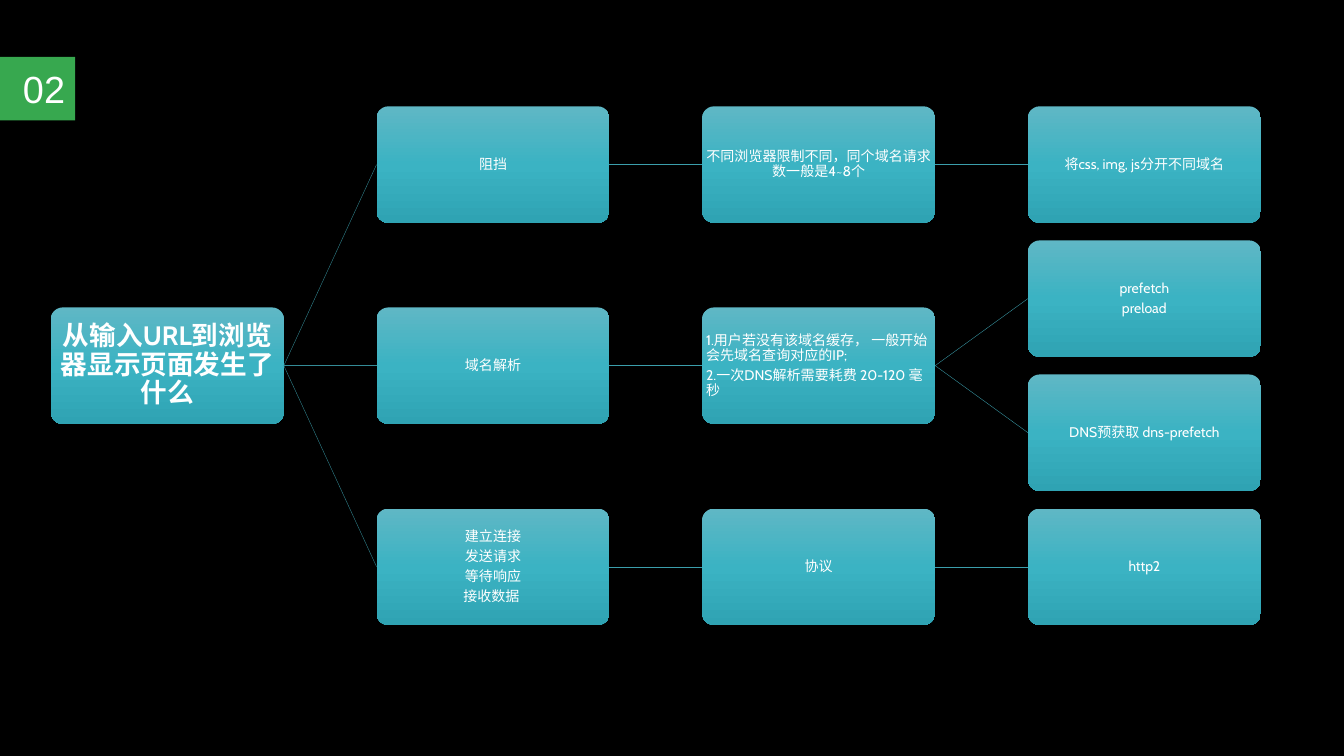
from copy import deepcopy
from dataclasses import dataclass, field

from lxml.etree import SubElement
from pptx import Presentation
from pptx.dml.color import RGBColor
from pptx.enum.shapes import MSO_CONNECTOR, MSO_SHAPE
from pptx.enum.text import MSO_ANCHOR, PP_ALIGN
from pptx.oxml.ns import qn
from pptx.util import Inches, Pt


@dataclass(frozen=True)
class Theme:
    background: str = "000000"
    text: str = "FFFFFF"
    badge: str = "37A84F"
    node_gradient: tuple = ((0, "5FB7C5"), (0.5, "3BB3C3"), (1, "2FA3B3"))
    root_line: str = "348B97"
    branch_line: str = "3B9EAC"
    line_width: float = 0.5
    badge_font: str = "Arial"
    node_font: str = "Cabin"
    badge_size: int = 54
    root_size: int = 38
    node_size: int = 20


@dataclass(frozen=True)
class Box:
    left: float
    top: float
    width: float
    height: float

    def lengths(self):
        return [Inches(value) for value in (self.left, self.top, self.width, self.height)]


@dataclass
class Topic:
    text: str
    children: list = field(default_factory=list)
    align: PP_ALIGN = PP_ALIGN.CENTER


THEME = Theme()
NODE_WIDTH, NODE_HEIGHT = 4.62, 2.31
COLUMN_STEP, ROW_STEP = 6.46, 2.66

MIND_MAP = Topic("从输入URL到浏览器显示页面发生了什么", [
    Topic("阻挡", [
        Topic("不同浏览器限制不同，同个域名请求数一般是4~8个", [
            Topic("将css, img, js分开不同域名"),
        ]),
    ]),
    Topic("域名解析", [
        Topic("1.用户若没有该域名缓存， 一般开始会先域名查询对应的IP;\n"
              "2.一次DNS解析需要耗费 20-120 毫秒", [
                  Topic("prefetch\npreload"),
                  Topic("DNS预获取 dns-prefetch"),
              ], PP_ALIGN.LEFT),
    ]),
    Topic("建立连接\n发送请求\n等待响应\n接收数据 ", [
        Topic("协议", [Topic("http2")]),
    ]),
])


def write_text(shape, text, *, size, font, align, bold=False, margin=0.01,
               margin_right=None, line_spacing=None, space_after=0):
    """Fill a shape with one paragraph for each line of text."""
    frame = shape.text_frame
    frame.word_wrap = True
    frame.vertical_anchor = MSO_ANCHOR.MIDDLE
    frame.margin_left = frame.margin_top = frame.margin_bottom = Inches(margin)
    frame.margin_right = Inches(margin if margin_right is None else margin_right)
    for index, line in enumerate(text.split("\n")):
        paragraph = frame.paragraphs[0] if index == 0 else frame.add_paragraph()
        paragraph.alignment = align
        paragraph.line_spacing = line_spacing
        paragraph.space_after = Pt(space_after)
        run = paragraph.add_run()
        run.text = line
        run.font.size = Pt(size)
        run.font.name = font
        run.font.bold = bold
        run.font.color.rgb = RGBColor.from_string(THEME.text)


def add_plain_shape(slide, kind, box):
    shape = slide.shapes.add_shape(kind, *box.lengths())
    shape.shadow.inherit = False
    shape.line.fill.background()
    return shape


def fill_gradient(shape, stops):
    """Apply a top-to-bottom gradient with any number of stops."""
    shape.fill.gradient()
    shape.fill.gradient_angle = 270
    stop_list = shape._element.spPr.find(qn("a:gradFill")).find(qn("a:gsLst"))
    while len(stop_list) < len(stops):
        stop_list.append(deepcopy(stop_list[0]))
    for stop, (position, color) in zip(shape.fill.gradient_stops, stops):
        stop.position = position
        stop.color.rgb = RGBColor.from_string(color)


def add_badge(slide, box):
    badge = add_plain_shape(slide, MSO_SHAPE.RECTANGLE, box)
    badge.fill.solid()
    badge.fill.fore_color.rgb = RGBColor.from_string(THEME.badge)
    write_text(badge, "02", size=THEME.badge_size, font=THEME.badge_font,
               align=PP_ALIGN.RIGHT, margin=0.06, margin_right=0.2)


def add_node(slide, topic, box, is_root):
    node = add_plain_shape(slide, MSO_SHAPE.ROUNDED_RECTANGLE, box)
    node.adjustments[0] = 0.1
    fill_gradient(node, THEME.node_gradient)
    size = THEME.root_size if is_root else THEME.node_size
    write_text(node, topic.text, size=size, font=THEME.node_font, align=topic.align,
               bold=is_root, margin=0.03 if is_root else 0.01,
               line_spacing=0.9, space_after=size * 0.35)
    return node


def join_nodes(slide, parent, child, color):
    """Connect the right side of the parent to the left side of the child."""
    connector = slide.shapes.add_connector(MSO_CONNECTOR.STRAIGHT, 0, 0, 0, 0)
    connector.begin_connect(parent, 3)
    connector.end_connect(child, 1)
    connector.line.color.rgb = RGBColor.from_string(color)
    connector.line.width = Pt(THEME.line_width)
    SubElement(connector._element.spPr, qn("a:effectLst"))


def count_leaves(topic):
    return sum(map(count_leaves, topic.children)) or 1


def middle_row(topic, first_row):
    """Row of a topic: halfway between its first and last child."""
    if not topic.children:
        return first_row
    rows = []
    for child in topic.children:
        rows.append(middle_row(child, first_row))
        first_row += count_leaves(child)
    return (rows[0] + rows[-1]) / 2


def add_mind_map(slide, topic, left, top, depth=0):
    """Draw a topic and its branches to the right, one row for each leaf."""
    node_top = top + middle_row(topic, 0) * ROW_STEP
    node = add_node(slide, topic, Box(left, node_top, NODE_WIDTH, NODE_HEIGHT), depth == 0)
    color = THEME.branch_line if depth else THEME.root_line
    for child in topic.children:
        child_node = add_mind_map(slide, child, left + COLUMN_STEP, top, depth + 1)
        join_nodes(slide, node, child_node, color)
        top += count_leaves(child) * ROW_STEP
    return node


def main():
    presentation = Presentation()
    presentation.slide_width = Inches(26.66)
    presentation.slide_height = Inches(15)
    slide = presentation.slides.add_slide(presentation.slide_layouts[6])
    slide.background.fill.solid()
    slide.background.fill.fore_color.rgb = RGBColor.from_string(THEME.background)

    # Section number
    add_badge(slide, Box(0, 1.13, 1.49, 1.26))
    # Mind map
    add_mind_map(slide, MIND_MAP, 1.01, 2.11)

    presentation.save("out.pptx")


if __name__ == "__main__":
    main()
